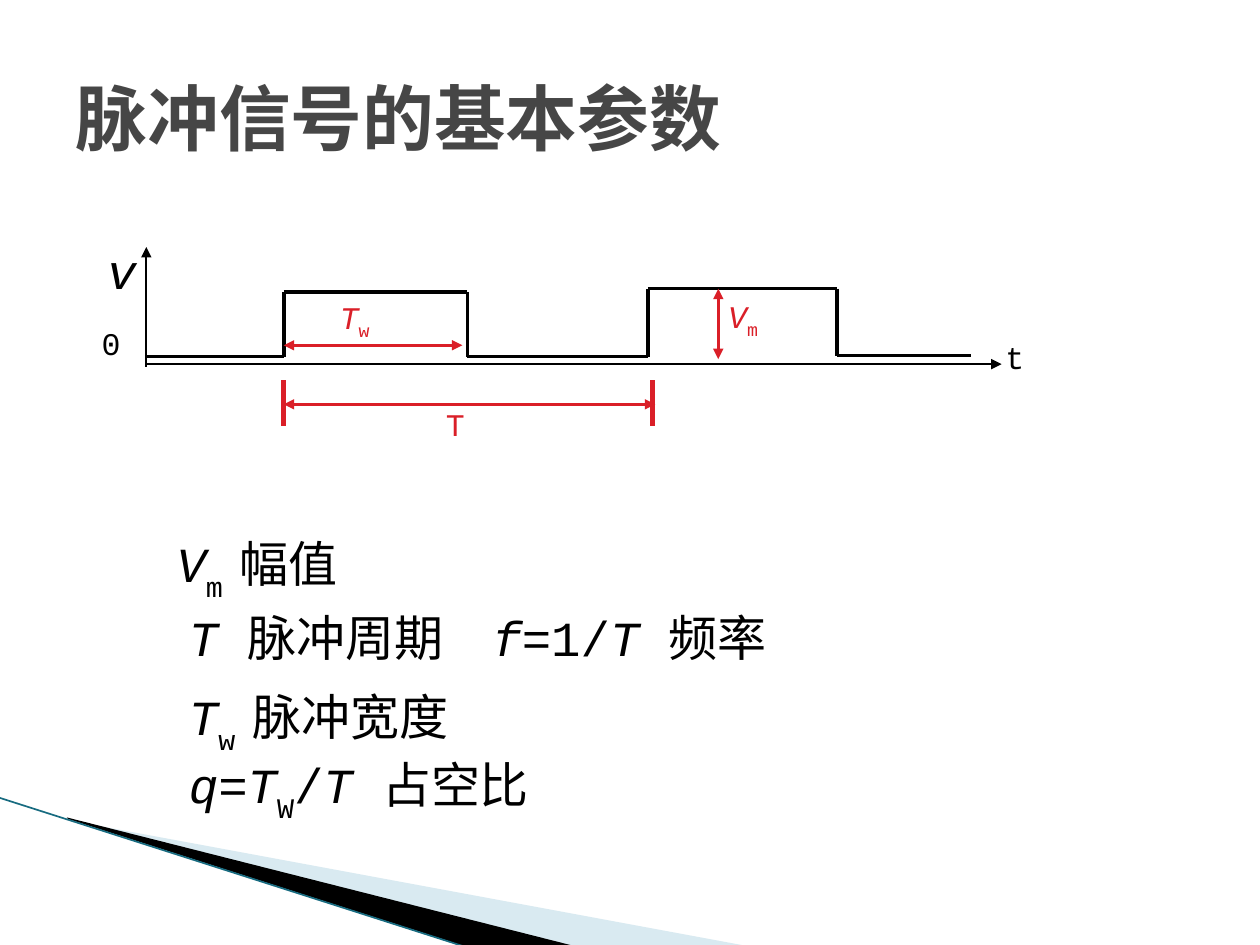
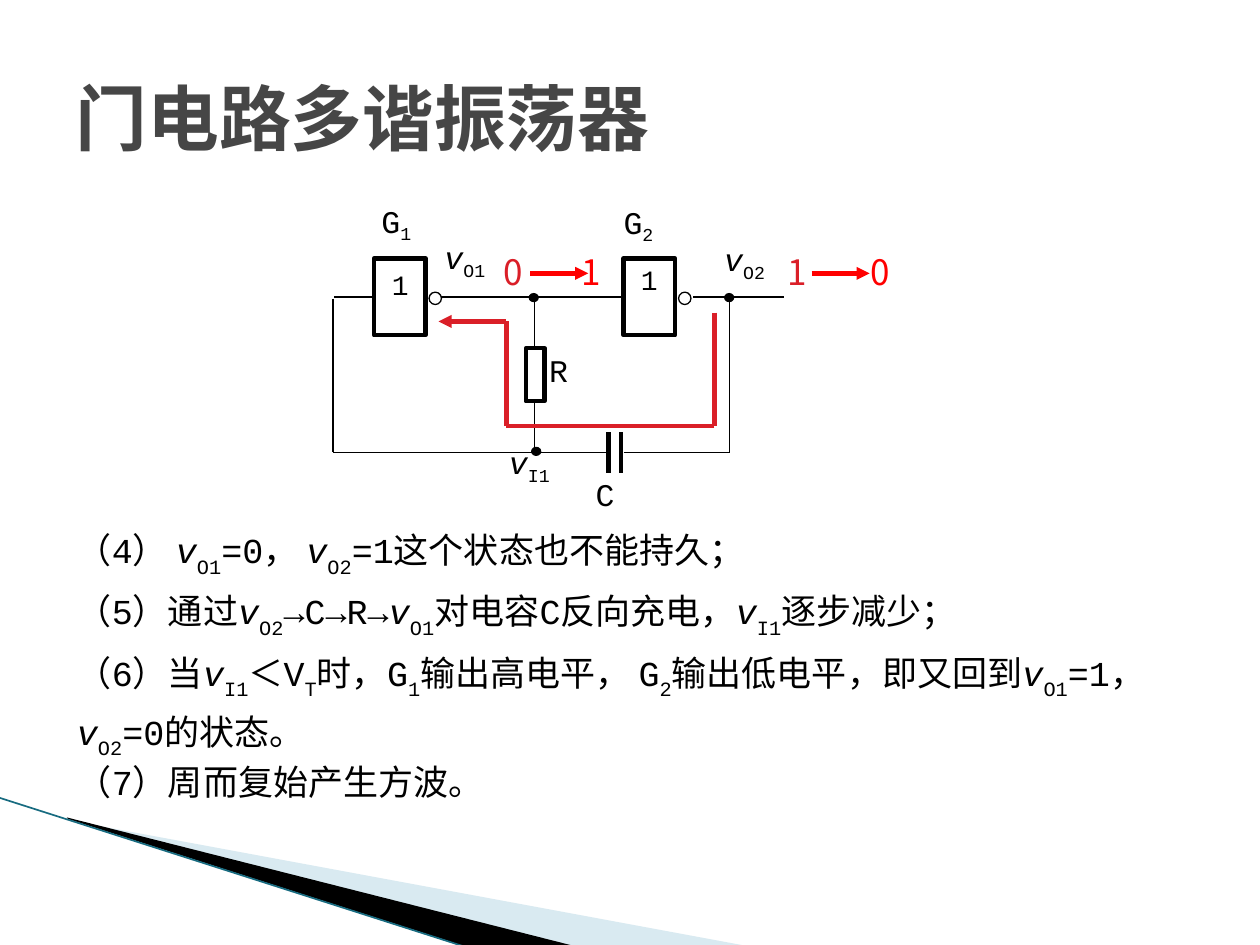
"""Build two slides on pulse signals and the gate-circuit multivibrator."""
from itertools import pairwise

from lxml import etree
from pptx import Presentation
from pptx import util as u
from pptx.dml.color import RGBColor
from pptx.enum import shapes, text
from pptx.oxml.ns import qn

BLACK = RGBColor(0x00, 0x00, 0x00)
WHITE = RGBColor(0xFF, 0xFF, 0xFF)
TITLE_GRAY = RGBColor(0x46, 0x46, 0x46)
CRIMSON = RGBColor(0xDA, 0x1F, 0x28)
RED = RGBColor(0xFF, 0x00, 0x00)
PALE_BLUE = RGBColor(0xA0, 0xCB, 0xDC)
TEAL = RGBColor(0x17, 0x6B, 0x80)
MONO = "Courier New"
CJK = "Noto Sans CJK SC"


def add_line(slide, start, end, color=BLACK, width=0.75, arrows=()):
    connector = slide.shapes.add_connector(
        shapes.MSO_CONNECTOR.STRAIGHT, *[u.Cm(value) for value in (*start, *end)])
    connector.line.color.rgb = color
    connector.line.width = u.Pt(width)
    properties = connector.element.spPr
    for arrow in arrows:
        etree.SubElement(properties.find(qn("a:ln")), qn(f"a:{arrow}"), type="triangle")
    etree.SubElement(properties, qn("a:effectLst"))
    return connector


def add_label(slide, box, markup, size=18, color=BLACK, font=MONO, drop=-25000):
    """Split the markup at bars; * starts an italic run and _ a subscript run."""
    label = slide.shapes.add_textbox(*[u.Cm(value) for value in box])
    label.text_frame.word_wrap = True
    paragraph = label.text_frame.paragraphs[0]
    for piece in markup.split("|"):
        run = paragraph.add_run()
        run.text = piece.lstrip("*_")
        run.font.size = u.Pt(size)
        run.font.name = font
        run.font.color.rgb = color
        run.font.italic = piece.startswith("*")
        properties = run._r.get_or_add_rPr()
        etree.SubElement(properties, qn("a:ea"), typeface=CJK)
        if piece.startswith("_"):
            properties.set("baseline", str(drop))
    return paragraph


presentation = Presentation()
presentation.slide_width = u.Cm(25.4)
presentation.slide_height = u.Cm(19.05)

layout = presentation.slide_layouts[5]
title, *footers = layout.placeholders
for footer in footers:
    footer.element.getparent().remove(footer.element)
title.left, title.top = u.Cm(1.27), u.Cm(0.76)
title.width, title.height = u.Cm(22.86), u.Cm(3.18)

slides = []
for heading in ("脉冲信号的基本参数", "门电路多谐振荡器"):
    slide = presentation.slides.add_slide(layout)
    frame = slide.shapes.title.text_frame
    frame.text = heading
    frame.vertical_anchor = text.MSO_ANCHOR.MIDDLE
    paragraph = frame.paragraphs[0]
    paragraph.alignment = text.PP_ALIGN.LEFT
    run = paragraph.runs[0]
    run.font.name = MONO
    run.font.size = u.Pt(41)
    run.font.bold = True
    run.font.color.rgb = TITLE_GRAY
    etree.SubElement(run._r.get_or_add_rPr(), qn("a:ea"), typeface=CJK)
    slides.append(slide)
pulse_slide, circuit_slide = slides

bands = [
    (PALE_BLUE, [(1.4, 16.54), (15.11, 19.08), (11.58, 19.08), (1.4, 16.51)]),
    (BLACK, [(1.35, 16.48), (11.61, 19.08), (9.45, 19.1), (1.37, 16.51)]),
]
for color, corners in bands:
    points = [(u.Cm(x), u.Cm(y)) for x, y in corners]
    builder = pulse_slide.shapes.build_freeform(*points[0])
    builder.add_line_segments(points[1:])
    band = builder.convert_to_shape()
    band.shadow.inherit = False
    band.fill.solid()
    band.fill.fore_color.rgb = color
    band.line.fill.background()
    if color == PALE_BLUE:
        color_element = band.element.spPr.find(qn("a:solidFill"))[0]
        etree.SubElement(color_element, qn("a:alpha"), val="40000")
    layout.shapes.element.append(band.element)
edge = add_line(pulse_slide, (-0.02, 16.08), (9.42, 19.1), TEAL, 0.95)
layout.shapes.element.append(edge.element)

add_line(pulse_slide, (2.97, 7.34), (20.19, 7.34), width=1.5, arrows=["tailEnd"])
add_line(pulse_slide, (2.95, 7.39), (2.95, 4.98), width=1, arrows=["tailEnd"])
waveform = [(2.92, 7.19), (5.72, 7.19), (5.72, 5.89), (9.42, 5.89), (9.42, 7.19),
            (13.06, 7.19), (13.06, 5.82), (16.87, 5.82), (16.87, 7.17), (19.58, 7.17)]
for start, end in pairwise(waveform):
    add_line(pulse_slide, start, end, width=2)

dimensions = [((5.72, 6.96), (9.32, 6.96)),
              ((5.72, 8.15), (13.21, 8.15)),
              ((14.48, 5.82), (14.48, 7.24))]
for start, end in dimensions:
    add_line(pulse_slide, start, end, CRIMSON, 1.5, ["headEnd", "tailEnd"])
for x in (5.72, 13.16):
    add_line(pulse_slide, (x, 7.67), (x, 8.59), CRIMSON, 3)

pulse_labels = [
    (6.6, 5.89, "*T|_w", 18, CRIMSON),
    (8.74, 8.05, "T", 18, CRIMSON),
    (14.43, 5.87, "*V|_m", 18, CRIMSON),
    (1.91, 4.72, "*v", 28, BLACK),
    (1.8, 6.4, "0", 18, BLACK),
    (20.02, 6.68, "t", 18, BLACK),
]
for x, y, markup, size, color in pulse_labels:
    add_label(pulse_slide, (x, y, 1.9, 1.45), markup, size, color)

definitions = [
    (1.81, 10.64, "*V|_m |幅值"),
    (2.06, 12.12, "*T |脉冲周期\t|*f|=1/|*T |频率"),
    (2.06, 13.72, "*T|_w |脉冲宽度"),
    (2.06, 15.09, "*q|=|*T|_W|/|*T |占空比"),
]
for x, y, markup in definitions:
    paragraph = add_label(pulse_slide, (x, y, 17.5, 1.45), markup, 28, drop=-30000)
    properties = paragraph._p.get_or_add_pPr()
    properties.set("indent", str(u.Cm(1.5)))
    tabs = etree.SubElement(properties, qn("a:tabLst"))
    etree.SubElement(tabs, qn("a:tab"), pos=str(u.Cm(8)), algn="l")

rectangle, ellipse = shapes.MSO_SHAPE.RECTANGLE, shapes.MSO_SHAPE.OVAL
wires = [
    ((7.54, 5.99), (6.73, 5.99)), ((13.97, 5.99), (15.8, 5.99)),
    ((12.52, 5.99), (8.89, 5.99)), ((10.77, 5.97), (10.77, 7.06)),
    ((10.77, 8.08), (10.77, 9.12)), ((6.71, 9.12), (12.24, 9.12)),
    ((14.71, 5.97), (14.71, 9.12)), ((6.71, 6.02), (6.71, 9.12)),
    ((12.57, 9.12), (14.71, 9.12)),
]
for start, end in wires:
    add_line(circuit_slide, start, end)
for x in (12.27, 12.52):
    add_line(circuit_slide, (x, 8.71), (x, 9.53), width=2.5)

parts = [(rectangle, (10.6, 7.02, 0.38, 1.07), None, 2.5)]
for x in (7.54, 12.57):
    parts.append((rectangle, (x, 5.21, 1.04, 1.55), None, 2.5))
    parts.append((ellipse, (x + 1.11, 5.89, 0.25, 0.25), WHITE, 0.75))
for x, y in ((10.72, 9.02), (14.61, 5.92), (10.67, 5.92)):
    parts.append((ellipse, (x, y, 0.18, 0.16), BLACK, 0.75))
for kind, box, fill, width in parts:
    part = circuit_slide.shapes.add_shape(kind, *[u.Cm(value) for value in box])
    part.shadow.inherit = False
    part.line.color.rgb = BLACK
    part.line.width = u.Pt(width)
    if fill is None:
        part.fill.background()
    else:
        part.fill.solid()
        part.fill.fore_color.rgb = fill

circuit_labels = [
    (7.65, 5.26, "1", 16), (12.67, 5.16, "1", 16),
    (7.44, 3.94, "G|_1", 18), (12.32, 3.96, "G|_2", 18),
    (10.82, 6.96, "R", 18), (11.76, 9.45, "C", 18),
    (8.71, 4.67, "*v|_O1", 18), (14.35, 4.72, "*v|_O2", 18),
    (10.01, 8.81, "*v|_I1", 18),
]
for x, y, markup, size in circuit_labels:
    add_label(circuit_slide, (x, y, 1.9, 1.4), markup, size)

charging_path = [(14.4, 6.3), (14.4, 8.59), (10.21, 8.59), (10.21, 6.48), (8.84, 6.48)]
for start, end in pairwise(charging_path):
    arrows = ["tailEnd"] if end == charging_path[-1] else []
    add_line(circuit_slide, start, end, CRIMSON, 2.5, arrows)

transitions = [(9.91, "0", 10.69, 11.48, "1"), (15.62, "1", 16.36, 17.3, "0")]
for before_x, before, arrow_x, after_x, after in transitions:
    add_line(circuit_slide, (arrow_x, 5.51), (arrow_x + 1.17, 5.51), RED, 2.5, ["tailEnd"])
    for x, digit, color in ((before_x, before, CRIMSON), (after_x, after, RED)):
        add_label(circuit_slide, (x, 4.93, 0.97, 1.09), digit, 20, color, CJK)

steps = [
    (10.34, "（4） |*v|_O1|=0， |*v|_O2|=1这个状态也不能持久；"),
    (11.56, "（5）通过|*v|_O2|→C→R→|*v|_O1|对电容C反向充电，|*v|_I1|逐步减少；"),
    (12.8, "（6）当|*v|_I1|＜V|_T|时，G|_1|输出高电平， G|_2|输出低电平，即又回到"
           "|*v|_O1|=1，|*v|_O2|=0的状态。"),
    (15.04, "（7）周而复始产生方波。"),
]
for y, markup in steps:
    paragraph = add_label(circuit_slide, (1.3, y, 23.24, 1.24), markup, 20, drop=-30000)
    paragraph.line_spacing = 1.2

presentation.save("out.pptx")
